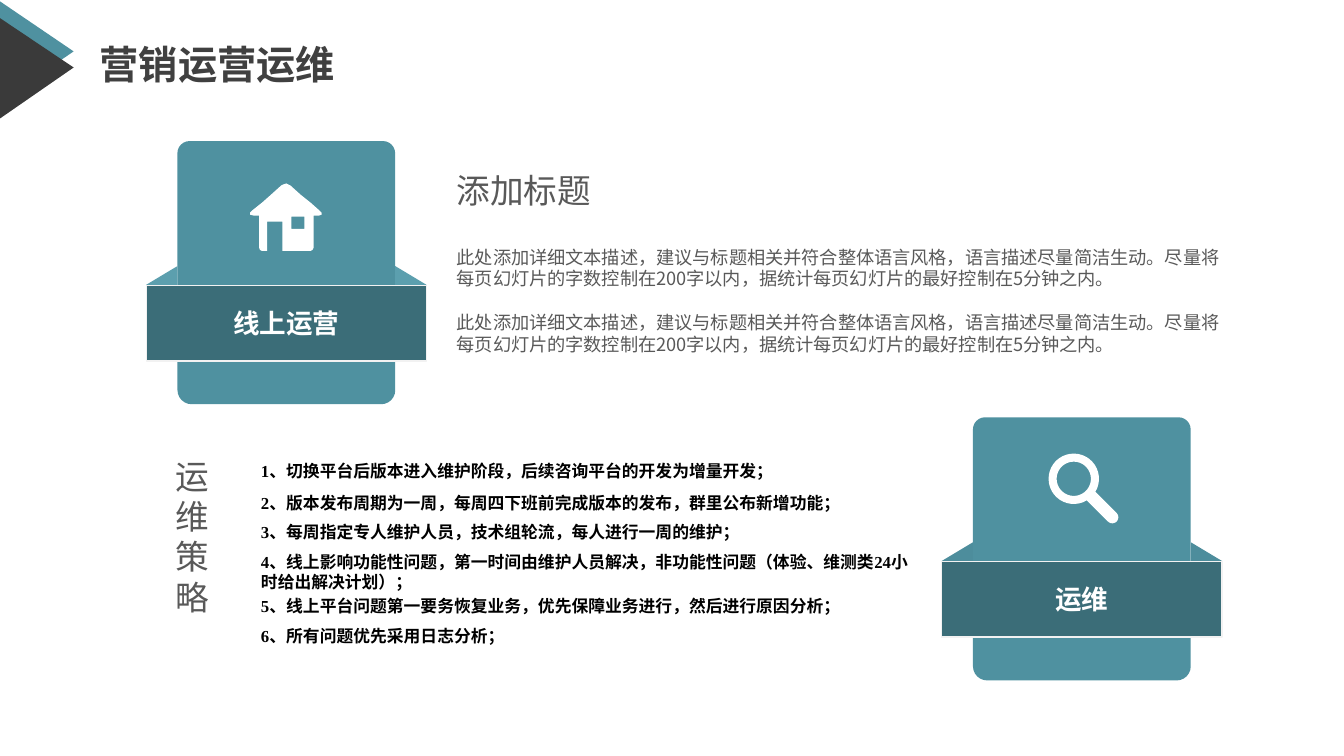
from math import asin, cos, degrees, radians, sin

from lxml import etree
from pptx import Presentation
from pptx.dml.color import RGBColor
from pptx.enum import shapes, text
from pptx.oxml import ns
from pptx.util import Inches, Pt

COLORS = {"teal": "4F91A0", "dark": "3A3A3A", "band": "3B6D78", "edge": "F2F2F2",
          "wing_light": "5C9FAE", "wing_dark": "4D8D9C", "white": "FFFFFF",
          "title": "404040", "grey": "595959", "black": "000000"}
CJK = "Noto Sans CJK SC"
TITLE = "营销运营运维"
HEADING = "添加标题"
DETAIL = ("此处添加详细文本描述，建议与标题相关并符合整体语言风格，语言描述尽量简洁生动。"
          "尽量将每页幻灯片的字数控制在200字以内，据统计每页幻灯片的最好控制在5分钟之内。")
STRATEGY = "运维策略"
# label, left, top, wing colour
CARDS = [("线上运营", 1.45, 1.4, "wing_light"), ("运维", 9.34, 4.14, "wing_dark")]
# top, height, text
RULES = [
    (4.52, 0.3, "1、切换平台后版本进入维护阶段，后续咨询平台的开发为增量开发；"),
    (4.84, 0.3, "2、版本发布周期为一周，每周四下班前完成版本的发布，群里公布新增功能；"),
    (5.13, 0.3, "3、每周指定专人维护人员，技术组轮流，每人进行一周的维护；"),
    (5.42, 0.5, "4、线上影响功能性问题，第一时间由维护人员解决，非功能性问题"
                "（体验、维测类24小时给出解决计划）；"),
    (5.86, 0.3, "5、线上平台问题第一要务恢复业务，优先保障业务进行，然后进行原因分析；"),
    (6.16, 0.3, "6、所有问题优先采用日志分析；"),
]
CORNER = [("teal", [(-0.06, 0), (-0.02, 0), (0.73, 0.51), (-0.06, 1.05)]),
          ("dark", [(-0.06, 0.14), (0.73, 0.67), (-0.05, 1.21), (-0.06, 1.21)])]
HOUSE = [(3.17, 2.09), (3.08, 2.01), (2.98, 1.93), (2.88, 1.84), (2.86, 1.83),
         (2.84, 1.82), (2.81, 1.83), (2.79, 1.84), (2.69, 1.93), (2.6, 2.01),
         (2.5, 2.09), (2.48, 2.11), (2.48, 2.13), (2.52, 2.14), (2.57, 2.14),
         (2.57, 2.46), (2.58, 2.48), (2.6, 2.49), (2.65, 2.49), (2.65, 2.2),
         (2.8, 2.2), (2.8, 2.49), (3.08, 2.49), (3.1, 2.48), (3.11, 2.46),
         (3.11, 2.14), (3.16, 2.14), (3.19, 2.13), (3.19, 2.11)]
WINDOW = [(3.02, 2.27), (2.89, 2.27), (2.89, 2.15), (3.02, 2.15)]
LENS = dict(x=10.65, y=4.75, radius=0.25, hole=0.17, handle=0.54, half=0.06)


def rgb(name):
    return RGBColor.from_string(COLORS[name])


def paint(sp, fill, line=None):
    sp.shadow.inherit = False
    sp.fill.solid()
    sp.fill.fore_color.rgb = rgb(fill)
    if line:
        sp.line.color.rgb = rgb(line)
        sp.line.width = Pt(1)
    else:
        sp.line.fill.background()
    return sp


def preset(parent, kind, box, fill, line=None):
    return paint(parent.add_shape(kind, *map(Inches, box)), fill, line)


def outline(parent, fill, *contours):
    """Closed polygon; contours after the first are holes."""
    paths = [[(Inches(x), Inches(y)) for x, y in c] for c in contours]
    builder = parent.build_freeform(*paths[0][0], scale=1.0)
    builder.add_line_segments(paths[0][1:])
    for hole in paths[1:]:
        builder.move_to(*hole[0])
        builder.add_line_segments(hole[1:])
    return paint(builder.convert_to_shape(), fill)


def arc(x, y, radius, start, end, steps=36):
    angles = [radians(start + (end - start) * i / steps) for i in range(steps + 1)]
    return [(x + radius * cos(a), y + radius * sin(a)) for a in angles]


def write(p, words, size, color, bold=False, font=CJK, spacing=None, **layout):
    """One run in a paragraph; line pitch is 1.2 times the size by default."""
    p.line_spacing = spacing or Pt(size * 1.2)
    for name, value in layout.items():
        setattr(p, name, value)
    r = p.add_run()
    r.text = words
    for name, value in dict(size=Pt(size), bold=bold, name=font).items():
        setattr(r.font, name, value)
    r.font.color.rgb = rgb(color)
    ea = etree.SubElement(r.font._element, ns.qn("a:ea"))
    ea.set("typeface", CJK)


def text_box(parent, box, inset=None, anchor=text.MSO_ANCHOR.TOP):
    tf = parent.add_textbox(*map(Inches, box)).text_frame
    tf.word_wrap = True
    tf.vertical_anchor = anchor
    if inset:
        tf.margin_left = tf.margin_right = Inches(inset[0])
        tf.margin_top = tf.margin_bottom = Inches(inset[1])
    return tf


def card(parent, label, left, top, wing_color):
    group = parent.add_group_shape().shapes
    tab = shapes.MSO_SHAPE.ROUND_2_SAME_RECTANGLE
    foot = preset(group, tab, (left + 0.31, top + 2.1, 2.16, 0.51), "teal")
    foot.rotation = 180
    foot.adjustments[0] = 0.274
    head = preset(group, tab, (left + 0.31, top, 2.16, 1.43), "teal")
    head.adjustments[0] = 0.084
    for x, flipped in ((2.16, False), (-0.31, True)):
        wing = preset(group, shapes.MSO_SHAPE.FLOWCHART_DATA,
                      (left + x, top + 1.55, 0.93, 0.31), wing_color)
        wing.rotation = 90
        if flipped:
            wing._element.spPr.find(ns.qn("a:xfrm")).set("flipV", "1")
    band = preset(group, shapes.MSO_SHAPE.RECTANGLE,
                  (left, top + 1.43, 2.78, 0.75), "band", "edge")
    band.text_frame.vertical_anchor = text.MSO_ANCHOR.MIDDLE
    write(band.text_frame.paragraphs[0], label, 19, "white", True,
          alignment=text.PP_ALIGN.CENTER)


def magnifier(parent, x, y, radius, hole, handle, half):
    gap = degrees(asin(half / radius))
    reach = handle * cos(radians(45))
    rim = arc(x, y, radius, 45 + gap, 405 - gap)
    tip = arc(x + reach, y + reach, half, -45, 135, 12)
    outline(parent, "white", rim + tip, arc(x, y, hole, 360, 0))


def main():
    prs = Presentation()
    prs.slide_width, prs.slide_height = Inches(13.33), Inches(7.5)
    s = prs.slides.add_slide(prs.slide_layouts[5])
    parts = s.shapes

    title = parts.title
    title.left, title.top, title.width, title.height = map(Inches, (0.89, 0.34, 5.28, 0.65))
    title.text_frame.vertical_anchor = text.MSO_ANCHOR.MIDDLE
    write(title.text_frame.paragraphs[0], TITLE, 28, "title", True, "Roboto", 0.9,
          alignment=text.PP_ALIGN.LEFT)

    for color, points in CORNER:
        outline(parts, color, points)
    for item in CARDS:
        card(parts, *item)
    outline(parts, "white", HOUSE, WINDOW)
    magnifier(parts, **LENS)

    tf = text_box(parts, (4.4, 1.62, 7.98, 1.99), (0.13, 0.07))
    write(tf.paragraphs[0], HEADING, 24, "grey")
    for gap in (25.2, 15.6):
        write(tf.add_paragraph(), DETAIL, 13, "grey", space_before=Pt(gap))

    tf = text_box(parts, (1.6, 4.38, 0.54, 1.88), (0.07, 0.07), text.MSO_ANCHOR.MIDDLE)
    write(tf.paragraphs[0], STRATEGY, 24, "grey", alignment=text.PP_ALIGN.RIGHT)

    for top, height, words in RULES:
        tf = text_box(parts, (2.49, top, 6.72, height))
        write(tf.paragraphs[0], words, 12, "black", True, "Times New Roman")

    prs.save("out.pptx")


if __name__ == "__main__":
    main()
